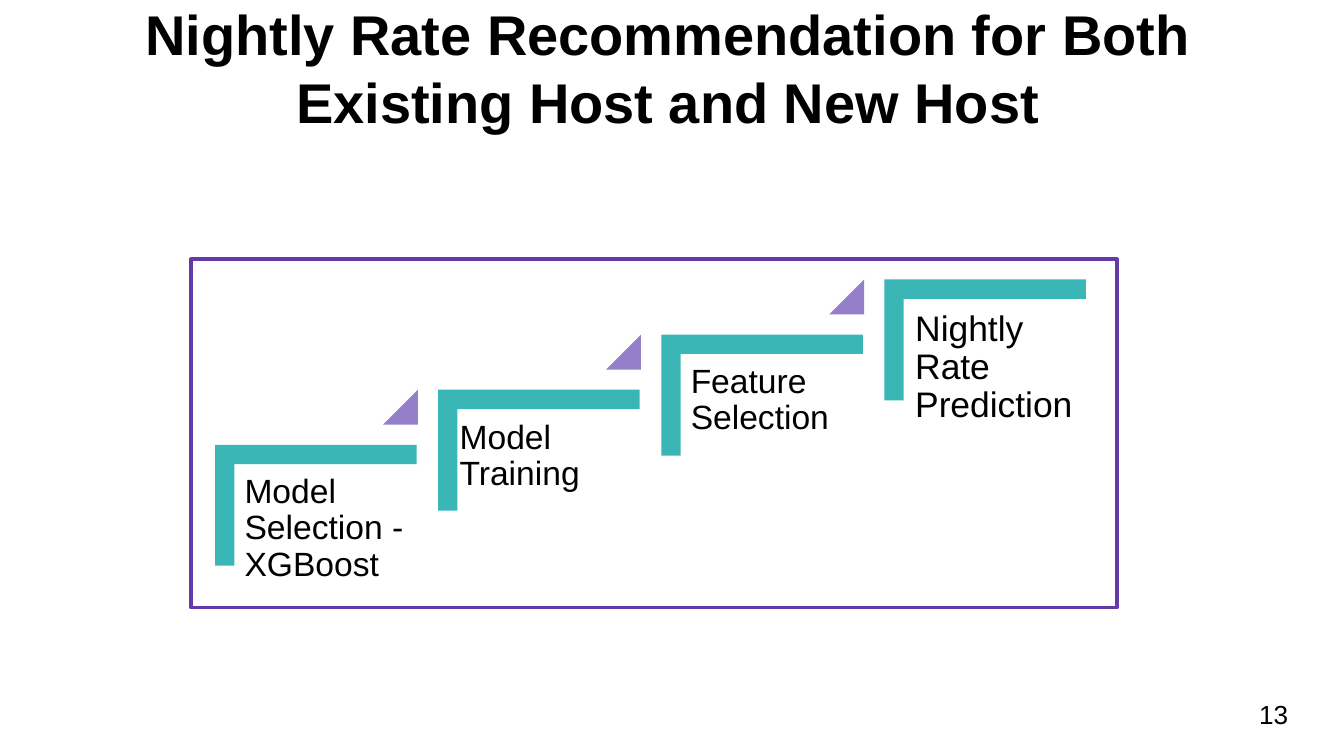
"""Build the nightly rate recommendation slide with its four rising steps."""
import pptx
import pptx.util
import pptx.dml.color
import pptx.enum.shapes
import pptx.enum.text

Inches = pptx.util.Inches
Pt = pptx.util.Pt
RGBColor = pptx.dml.color.RGBColor
Shape = pptx.enum.shapes.MSO_SHAPE
Align = pptx.enum.text.PP_ALIGN
Anchor = pptx.enum.text.MSO_ANCHOR

BLACK = RGBColor(0x00, 0x00, 0x00)
TEAL = RGBColor(0x39, 0xB6, 0xB5)
LILAC = RGBColor(0x95, 0x7F, 0xCA)
PURPLE = RGBColor(0x66, 0x39, 0xA8)

TITLE = "Nightly Rate Recommendation for Both Existing Host and New Host"
NUMBER = "13"
STEPS = [
    {"text": "Model Selection - XGBoost"},
    {"text": "Model Training", "shift": -0.06, "drop": 0.01, "width": 1.61},
    {"text": "Feature Selection"},
    {"text": "Nightly Rate Prediction", "size": 19, "inset": 0.08},
]
WIDTH = 10
HEIGHT = WIDTH * 9 / 16
LEFT, TOP = 1.9, 3.01
RUN, RISE = 1.66, 0.41


def write(shape, text, size=18, bold=False, align=Align.LEFT,
          anchor=Anchor.TOP, inset=0.1, spacing=None):
    frame = shape.text_frame
    frame.word_wrap = True
    frame.auto_size = pptx.enum.text.MSO_AUTO_SIZE.NONE
    frame.vertical_anchor = anchor
    frame.margin_left = frame.margin_right = Inches(inset)
    frame.margin_top = frame.margin_bottom = Inches(inset)
    para = frame.paragraphs[0]
    para.alignment = align
    para.line_spacing = spacing
    run = para.add_run()
    run.text = text
    run.font.name = "Arial"
    run.font.size = Pt(size)
    run.font.bold = bold
    run.font.color.rgb = BLACK


def place(box):
    return [Inches(side) for side in box]


def draw(shapes, kind, box, fill=None, line=None):
    shape = shapes.add_shape(kind, *place(box))
    shape.shadow.inherit = False
    if fill is None:
        shape.fill.background()
    else:
        shape.fill.solid()
        shape.fill.fore_color.rgb = fill
    if line is None:
        shape.line.fill.background()
    else:
        shape.line.color.rgb = line
        shape.line.width = Pt(2)
    return shape


def main():
    deck = pptx.Presentation()
    deck.slide_width, deck.slide_height = Inches(WIDTH), Inches(HEIGHT)
    slide = deck.slides.add_slide(deck.slide_layouts[5])

    title = slide.shapes.title
    title.left, title.top, title.width, title.height = place((0.31, 0.04, 9.32, 0.92))
    write(title, TITLE, size=30, bold=True, align=Align.CENTER, anchor=Anchor.MIDDLE)

    stairs = slide.shapes.add_group_shape().shapes
    for i, step in enumerate(STEPS):
        x, y = LEFT + i * RUN, TOP - i * RISE
        corner = draw(stairs, Shape.CORNER, (x, y, 0.9, 1.5), fill=TEAL)
        corner.rotation = 90
        corner.adjustments[0] = corner.adjustments[1] = 0.16
        box = (x - 0.15 + step.get("shift", 0), y + 0.45 + step.get("drop", 0),
               step.get("width", 1.36), 1.19)
        write(stairs.add_textbox(*place(box)), step["text"], size=step.get("size", 18),
              inset=step.get("inset", 0.07), spacing=0.9)
        if i < len(STEPS) - 1:
            mark = draw(stairs, Shape.ISOSCELES_TRIANGLE,
                        (x + 0.95, y - 0.11, 0.26, 0.26), fill=LILAC)
            mark.adjustments[0] = 1

    draw(slide.shapes, Shape.RECTANGLE, (1.42, 1.93, 6.89, 2.59), line=PURPLE)
    page = slide.shapes.add_textbox(*place((9.27, 5.1, 0.6, 0.43)))
    write(page, NUMBER, size=14, anchor=Anchor.MIDDLE)
    deck.save("out.pptx")


if __name__ == "__main__":
    main()
